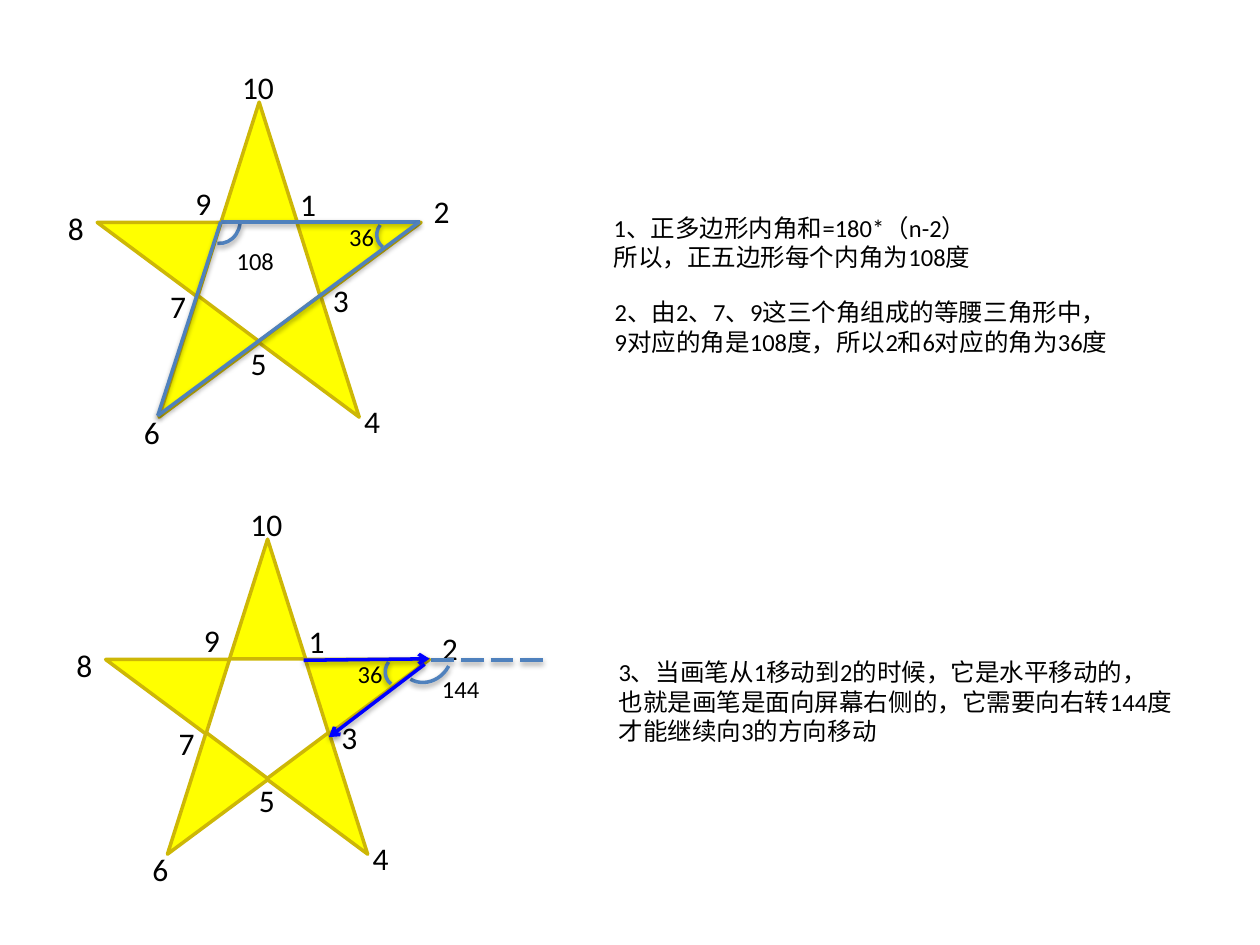
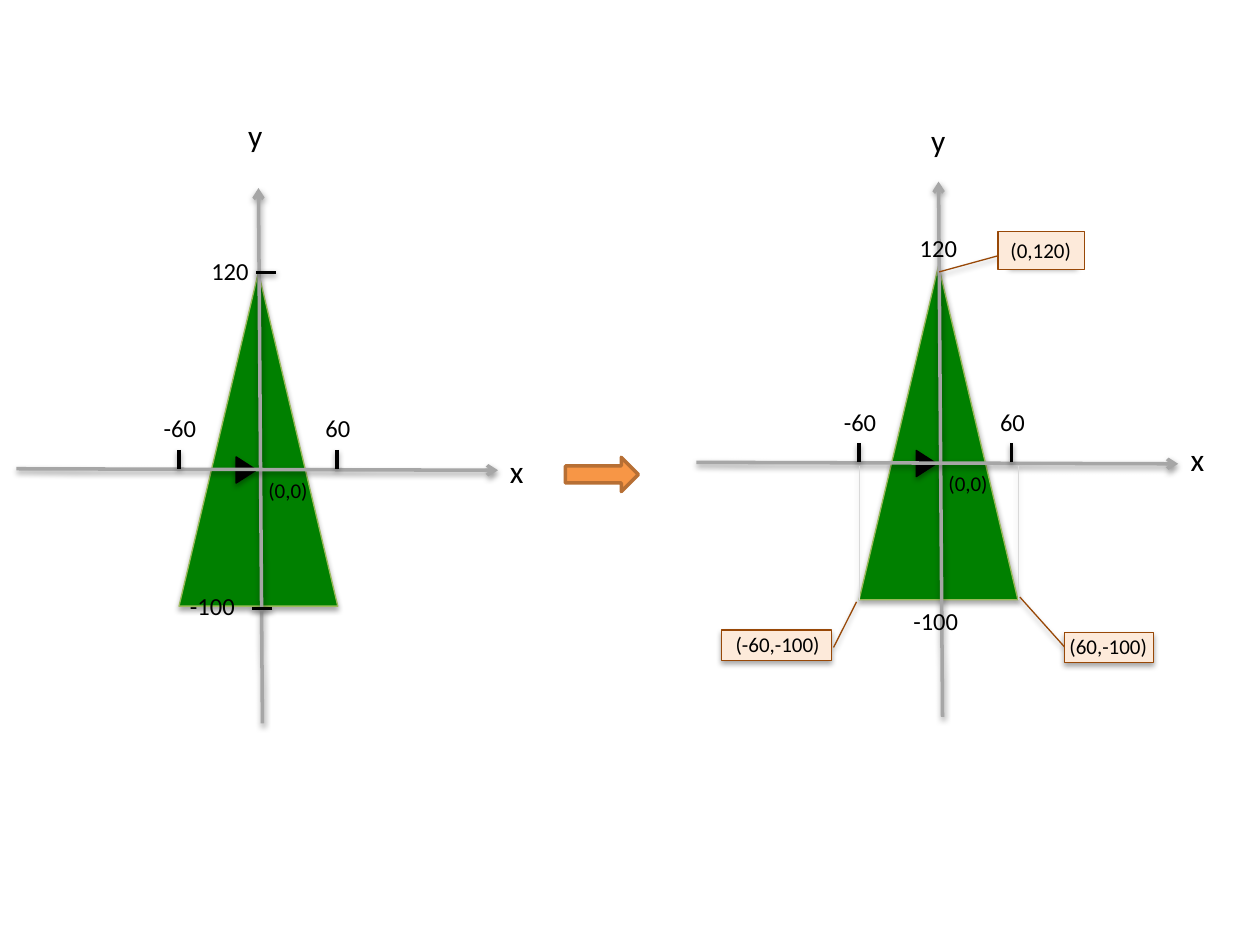
"""Build two geometry slides: the angles of a star and a tree on x-y axes."""
from lxml import etree
from pptx import Presentation
from pptx.dml.color import RGBColor
from pptx.enum.shapes import MSO_CONNECTOR, MSO_SHAPE
from pptx.enum.text import MSO_ANCHOR, MSO_AUTO_SIZE, PP_ALIGN
from pptx.oxml.ns import qn
from pptx.util import Cm, Pt

STAR = MSO_SHAPE.STAR_5_POINT
PENTAGON = MSO_SHAPE.REGULAR_PENTAGON
TRIANGLE = MSO_SHAPE.ISOSCELES_TRIANGLE
ARC = MSO_SHAPE.ARC
RIGHT_ARROW = MSO_SHAPE.RIGHT_ARROW
CALLOUT = MSO_SHAPE.LINE_CALLOUT_1
RECTANGLE = MSO_SHAPE.RECTANGLE
STRAIGHT = MSO_CONNECTOR.STRAIGHT
LEFT = PP_ALIGN.LEFT
TOP, MIDDLE = MSO_ANCHOR.TOP, MSO_ANCHOR.MIDDLE
FIT = MSO_AUTO_SIZE.SHAPE_TO_FIT_TEXT

FONT = "Calibri"
BLACK, WHITE, YELLOW, GOLD = "000000", "FFFFFF", "FFFF00", "CDB706"
STEEL, BLUE, GREEN, OLIVE = "4F81BD", "0000FF", "008000", "9BBB59"
GREY, PALE = "A6A6A6", "D9D9D9"
ORANGE, RUST, BROWN, CREAM = "F79646", "B76F34", "984807", "FDEADA"
LINE_SHADOW = (20000, 38000)
SHAPE_SHADOW = (23000, 35000)

STAR_LABELS = {
    "1": (3.84, 1.55), "2": (6.53, 1.68), "3": (4.5, 3.48), "4": (5.13, 5.92),
    "5": (2.84, 4.75), "6": (0.69, 6.15), "7": (1.22, 3.61), "8": (-0.84, 2.03),
    "9": (1.73, 1.52), "10": (2.67, -0.81),
}


def rgb(color):
    """Turn a hex string into a colour."""
    return RGBColor.from_string(color)


class Deck:
    """Hold the presentation, its style and the current slide."""

    def __init__(self):
        """Start an empty 4:3 presentation."""
        self.prs = Presentation()
        self.prs.slide_width, self.prs.slide_height = Cm(25.4), Cm(19.05)

    def slide(self):
        """Add a blank slide and make it current."""
        self.s = self.prs.slides.add_slide(self.prs.slide_layouts[6])

    def shadow(self, sp, shadow):
        """Add a soft shadow that falls straight down."""
        dist, alpha = shadow
        effects = etree.SubElement(sp._element.spPr, qn("a:effectLst"))
        outer = etree.SubElement(effects, qn("a:outerShdw"), blurRad="40000",
                                 dist=str(dist), dir="5400000", rotWithShape="0")
        color = etree.SubElement(outer, qn("a:srgbClr"), val=BLACK)
        etree.SubElement(color, qn("a:alpha"), val=str(alpha))

    def shape(self, kind, box, fill, line, width=2, rot=0, adj=(), shadow=None):
        """Add a preset shape."""
        sp = self.s.shapes.add_shape(kind, *map(Cm, box))
        sp.rotation = rot
        for i, value in enumerate(adj):
            sp.adjustments[i] = value
        if fill:
            sp.fill.solid()
            sp.fill.fore_color.rgb = rgb(fill)
        else:
            sp.fill.background()
        sp.line.color.rgb = rgb(line)
        sp.line.width = Pt(width)
        if shadow:
            self.shadow(sp, shadow)
        else:
            sp.shadow.inherit = False
        return sp

    def line(self, start, end, color, width=2, arrow=False):
        """Add a straight line, with an arrowhead at its end if asked."""
        sp = self.s.shapes.add_connector(STRAIGHT, *map(Cm, start + end))
        sp.line.color.rgb = rgb(color)
        sp.line.width = Pt(width)
        if arrow:
            ln = sp._element.spPr.find(qn("a:ln"))
            etree.SubElement(ln, qn("a:tailEnd"), type="arrow")
        self.shadow(sp, LINE_SHADOW)

    def text(self, sp, lines, size, wrap=False, anchor=TOP):
        """Fill a shape with left-aligned paragraphs."""
        tf = sp.text_frame
        tf.word_wrap, tf.auto_size, tf.vertical_anchor = wrap, FIT, anchor
        for i, words in enumerate(lines):
            p = tf.add_paragraph() if i else tf.paragraphs[0]
            p.alignment = LEFT
            r = p.add_run()
            r.text = words
            r.font.name, r.font.size = FONT, Pt(size)
            r.font.color.rgb = rgb(BLACK)

    def label(self, words, left, top, size=14):
        """Add a one-line label in a box that fits it."""
        chars = sum(0.55 if c in "(),-" else 1 for c in words)
        width, height = 0.51 + chars * size * 0.0185, 0.25 + size * 0.043
        sp = self.s.shapes.add_textbox(*map(Cm, (left, top, width, height)))
        self.text(sp, [words], size)

    def note(self, box, *lines):
        """Add a wrapped explanation."""
        self.text(self.s.shapes.add_textbox(*map(Cm, box)), lines, 14, wrap=True)

    def arc(self, box, rot, adj=()):
        """Mark an angle with an arc."""
        self.shape(ARC, box, None, STEEL, rot=rot, adj=adj, shadow=LINE_SHADOW)

    def callout(self, box, adj):
        """Add a bordered callout that points at a corner."""
        self.shape(CALLOUT, box, CREAM, BROWN, 0.75, adj=adj, shadow=SHAPE_SHADOW)

    def star(self, left, top):
        """Add a hollow star with numbered corners and its 36 degree angle."""
        self.shape(STAR, (left, top, 6.53, 6.35), YELLOW, GOLD)
        for words, (dx, dy) in STAR_LABELS.items():
            self.label(words, left + dx, top + dy, 18)
        self.shape(PENTAGON, (left + 2.03, top + 2.41, 2.46, 2.41), WHITE, GOLD, rot=180)
        self.arc((left + 5.64, top + 2.34, 0.61, 0.64), 217.4)
        self.label("36", left + 4.83, top + 2.29)

    def tree(self, left, top, tick):
        """Add a tree on axes, with the 60 tick at the given offset."""
        self.shape(TRIANGLE, (left, top, 3.2, 6.73), GREEN, OLIVE, 0.75,
                   shadow=SHAPE_SHADOW)
        self.shape(TRIANGLE, (left + 1.09, top + 3.78, 0.53, 0.41), BLACK, BLACK, 0.75,
                   rot=90, shadow=SHAPE_SHADOW)
        for x1, y1, x2, y2 in ((1.68, 9.09, 1.6, -1.7), (-3.28, 3.96, 6.43, 3.99)):
            self.line((left + x1, top + y1), (left + x2, top + y2), GREY, arrow=True)
        self.label("(0,0)", left + 1.55, top + 4.01, 12)
        for words, x, shift in (("-60", 0, 0.56), ("60", tick, 0.48)):
            self.label(words, left + x - shift, top + 2.72)
            self.line((left + x, top + 3.58), (left + x, top + 3.96), BLACK)


def star_slide(deck):
    """Explain the angles of the star."""
    deck.slide()
    deck.star(2.13, 10.87)
    for i in range(4):
        x = 8.69 + i * 0.6
        deck.line((x, 13.31), (x + 0.46, 13.31), STEEL)
    deck.arc((7.98, 12.65, 1.17, 1.07), 119.9, (160.05, 0))
    deck.label("144", 8.66, 13.46)
    deck.line((6.12, 13.31), (8.66, 13.28), BLUE, arrow=True)
    deck.line((8.56, 13.39), (6.63, 14.86), BLUE, arrow=True)

    deck.star(1.96, 2.06)
    deck.arc((3.99, 4.06, 0.89, 0.81), 96.7)
    deck.label("108", 4.52, 4.83)
    corner9, corner2, corner6 = (4.45, 4.47), (8.46, 4.47), (3.18, 8.38)
    for start, end in ((corner9, corner2), (corner9, corner6), (corner6, corner2)):
        deck.line(start, end, STEEL)

    deck.note((12.12, 4.17, 7.95, 1.45),
              "1、正多边形内角和=180*（n-2）", "所以，正五边形每个内角为108度")
    deck.note((12.14, 5.87, 10.49, 1.45),
              "2、由2、7、9这三个角组成的等腰三角形中，",
              "9对应的角是108度，所以2和6对应的角为36度")
    deck.note((12.22, 13.13, 11.73, 2.06),
              "3、当画笔从1移动到2的时候，它是水平移动的，",
              "也就是画笔是面向屏幕右侧的，它需要向右转144度",
              "才能继续向3的方向移动")


def tree_slide(deck):
    """Show how the tree's corners become coordinates."""
    deck.slide()
    deck.tree(3.61, 5.49, 3.18)
    deck.label("x", 10.03, 8.99, 18)
    deck.label("y", 4.75, 2.21, 18)
    deck.line((5.56, 5.49), (5.16, 5.49), BLACK)
    deck.label("120", 4.01, 5.03)
    deck.line((5.49, 12.27), (5.08, 12.27), BLACK)
    deck.label("-100", 3.58, 11.79)

    deck.shape(RIGHT_ARROW, (11.4, 9.22, 1.47, 0.69), ORANGE, RUST)

    deck.tree(17.32, 5.36, 3.07)
    deck.label("x", 23.75, 8.74, 18)
    deck.label("y", 18.52, 2.31, 18)
    for x in (17.32, 20.52):
        deck.line((x, 9.4), (x, 12.1), PALE, 0.25)
    deck.label("-100", 18.16, 12.09)
    deck.label("120", 18.29, 4.57)

    deck.callout((20.35, 4.85, 1.35, 0.51), (0.48, 0, 1.24, -1.05))
    sp = deck.shape(RECTANGLE, (20.12, 4.67, 1.75, 0.76), CREAM, BROWN, 0.75)
    deck.text(sp, ["(0,120)"], 12, anchor=MIDDLE)
    deck.callout((21.46, 12.75, 1.8, 0.61), (0.48, 0, -1.17, -0.5))
    deck.label("(60,-100)", 21.31, 12.65, 12)
    deck.callout((14.55, 12.7, 2.21, 0.61), (0.58, 1.02, -0.93, 1.23))
    deck.label("(-60,-100)", 14.58, 12.6, 12)


def main():
    """Build and save the presentation."""
    deck = Deck()
    star_slide(deck)
    tree_slide(deck)
    deck.prs.save("out.pptx")


if __name__ == "__main__":
    main()
